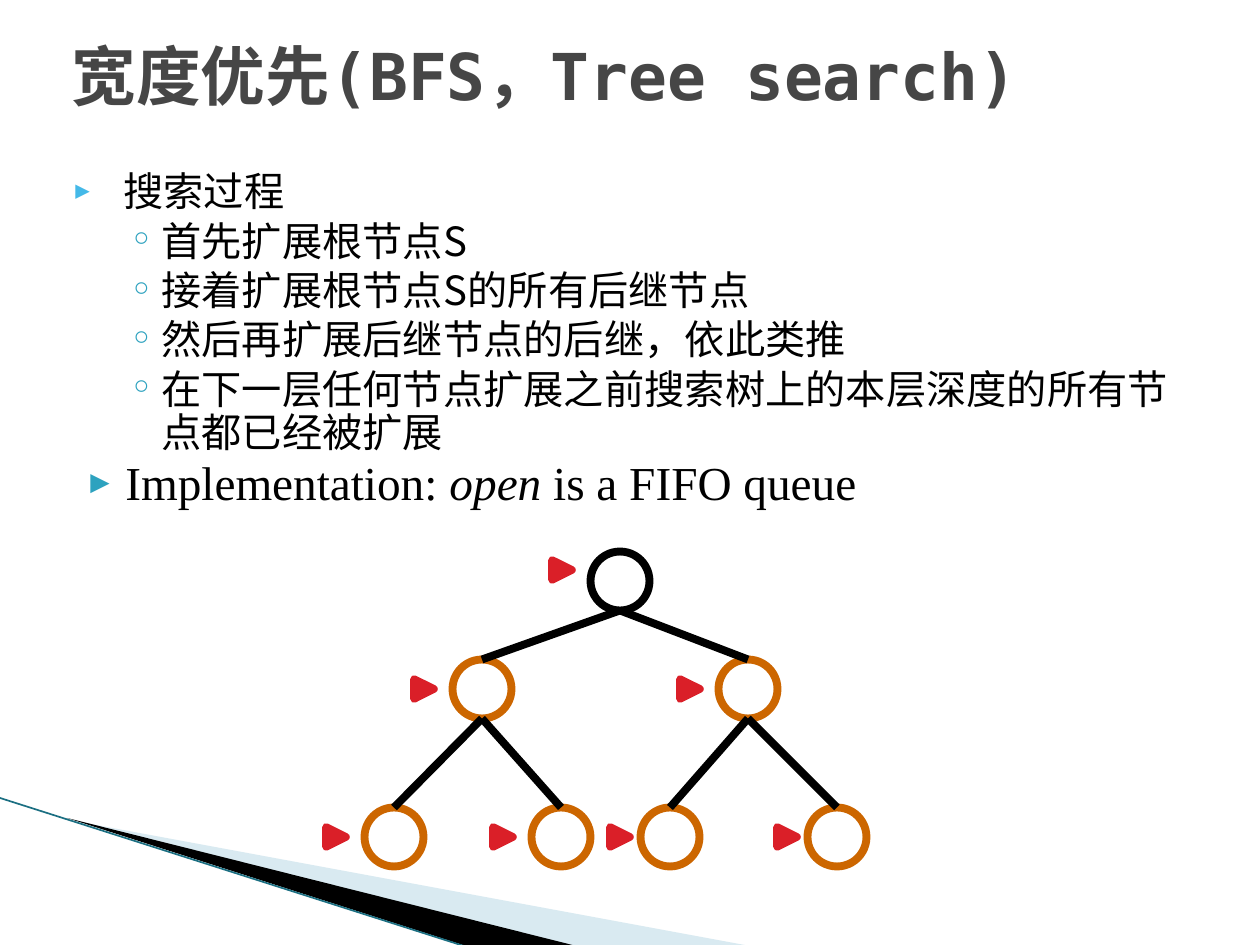
from lxml.etree import SubElement
from pptx import Presentation
from pptx.dml.color import RGBColor
from pptx.enum.shapes import MSO_CONNECTOR, MSO_SHAPE
from pptx.enum.text import MSO_ANCHOR, MSO_AUTO_SIZE, PP_ALIGN
from pptx.oxml.ns import qn
from pptx.util import Pt

PX = 914400 / 126
COLORS = {"title": "464646", "text": "000000", "sky": "44B9E8", "teal": "2DA2BF",
          "swoosh": "A0CBDC", "edge": "1B6F82", "black": "000000", "white": "FFFFFF",
          "orange": "CC6600", "red": "DA1F28"}
CJK, SERIF, MONO = "Noto Sans CJK SC", "Times New Roman", "DejaVu Sans Mono"


def emu(*lengths):
    return [round(v * PX) for v in lengths]


def rgb(name):
    return RGBColor.from_string(COLORS[name])


prs = Presentation()
prs.slide_width, prs.slide_height = emu(1260, 945)
s = prs.slides.add_slide(prs.slide_layouts[5])

# Corner swoosh: two wedges and a thin edge
wedges = [("swoosh", 40, [(69, 820), (750, 946), (575, 946)]),
          ("black", 100, [(67, 818), (576, 946), (469, 947)])]
for color, alpha, points in wedges:
    builder = s.shapes.build_freeform(*points[0], scale=PX)
    builder.add_line_segments(points[1:], close=True)
    sp = builder.convert_to_shape()
    sp.shadow.inherit = False
    sp.fill.solid()
    sp.fill.fore_color.rgb = rgb(color)
    sp.line.fill.background()
    if alpha < 100:
        clr = sp._element.spPr.find(qn("a:solidFill"))[0]
        SubElement(clr, qn("a:alpha"), val=str(alpha * 1000))

# Lines: the swoosh edge now, the tree branches further down
lines = [(0, 798, 467, 947, "edge", 0.95)]

# Title
title = s.shapes.title
title.left, title.top, title.width, title.height = emu(59, 29, 1134, 91)
tf = title.text_frame
tf.auto_size = MSO_AUTO_SIZE.NONE
tf.vertical_anchor = MSO_ANCHOR.MIDDLE
p = tf.paragraphs[0]
p.alignment = PP_ALIGN.LEFT
r = p.add_run()
r.text = "宽度优先(BFS，Tree search)"
for name, value in {"name": MONO, "size": Pt(36.9), "bold": True}.items():
    setattr(r.font, name, value)
r.font.color.rgb = rgb("title")
SubElement(r._r.get_or_add_rPr(), qn("a:ea"), typeface=CJK)

# Search steps
top = {"level": 0, "indent": (48, -48), "bullet": ("▶", "sky", 60),
       "font": CJK, "size": 23, "line": 25, "before": 0}
sub = {**top, "level": 1, "indent": (86, -32), "bullet": ("◦", "teal", 100), "before": 3.2}
last = {**top, "indent": (50, -35), "bullet": ("▶", "teal", 68),
        "font": SERIF, "size": 27, "line": 27, "before": 4}
steps = [
    (top, ["搜索过程"]),
    (sub, ["首先扩展根节点S"]),
    (sub, ["接着扩展根节点S的所有后继节点"]),
    (sub, ["然后再扩展后继节点的后继，依此类推"]),
    (sub, ["在下一层任何节点扩展之前搜索树上的本层深度的所有节点都已经被扩展"]),
    (last, ["Implementation: ", "open", " is a FIFO queue"]),
]
tf = s.shapes.add_textbox(*emu(63, 158, 1134, 670)).text_frame
tf.word_wrap = True
tf.margin_top = emu(13)[0]
for i, (style, texts) in enumerate(steps):
    p = tf.paragraphs[0] if i == 0 else tf.add_paragraph()
    p.level = style["level"]
    p.line_spacing = Pt(style["line"])
    if style["before"]:
        p.space_before = Pt(style["before"])
    pPr = p._p.get_or_add_pPr()
    for key, value in zip(("marL", "indent"), emu(*style["indent"])):
        pPr.set(key, str(value))
    char, color, percent = style["bullet"]
    SubElement(SubElement(pPr, qn("a:buClr")), qn("a:srgbClr"), val=COLORS[color])
    SubElement(pPr, qn("a:buSzPct"), val=str(percent * 1000))
    SubElement(pPr, qn("a:buFont"), typeface=MONO)
    SubElement(pPr, qn("a:buChar"), char=char)
    for text in texts:
        r = p.add_run()
        r.text = text
        r.font.name, r.font.size = style["font"], Pt(style["size"])
        r.font.color.rgb = rgb("text")
        if text == "open":
            r.font.italic = True
        SubElement(r._r.get_or_add_rPr(), qn("a:ea"), typeface=CJK)

# Tree: node centre, parent index, and marker offset from the centre
D, MARK = 59, 20
nodes = [(620, 581, None, (-58, -11)),
         (482, 689, 0, (-58, 0)), (748, 689, 0, (-58, 0)),
         (394, 837, 1, (-58, 0)), (561, 837, 1, (-58, 0)),
         (670, 837, 2, (-50, 0)), (837, 837, 2, (-50, 0))]
parts = []
for x, y, parent, (dx, dy) in nodes:
    ring = "black" if parent is None else "orange"
    parts.append((MSO_SHAPE.OVAL, x, y, D, 0, "white", ring, 4.5))
    parts.append((MSO_SHAPE.ISOSCELES_TRIANGLE, x + dx, y + dy, MARK, 90, "red", "red", 4.33))
    if parent is not None:
        px, py = nodes[parent][:2]
        lines.append((px, py + D / 2, x, y - D / 2, "black", 4.5))

for kind, x, y, size, turn, fill, line, width in parts:
    sp = s.shapes.add_shape(kind, *emu(x - size / 2, y - size / 2, size, size))
    sp.rotation = turn
    sp.shadow.inherit = False
    sp.fill.solid()
    sp.fill.fore_color.rgb = rgb(fill)
    sp.line.color.rgb = rgb(line)
    sp.line.width = Pt(width)

# Swoosh edge and branches
for x1, y1, x2, y2, color, width in lines:
    branch = s.shapes.add_connector(MSO_CONNECTOR.STRAIGHT, *emu(x1, y1, x2, y2))
    branch.line.color.rgb = rgb(color)
    branch.line.width = Pt(width)
    SubElement(branch._element.spPr, qn("a:effectLst"))

prs.save("out.pptx")
